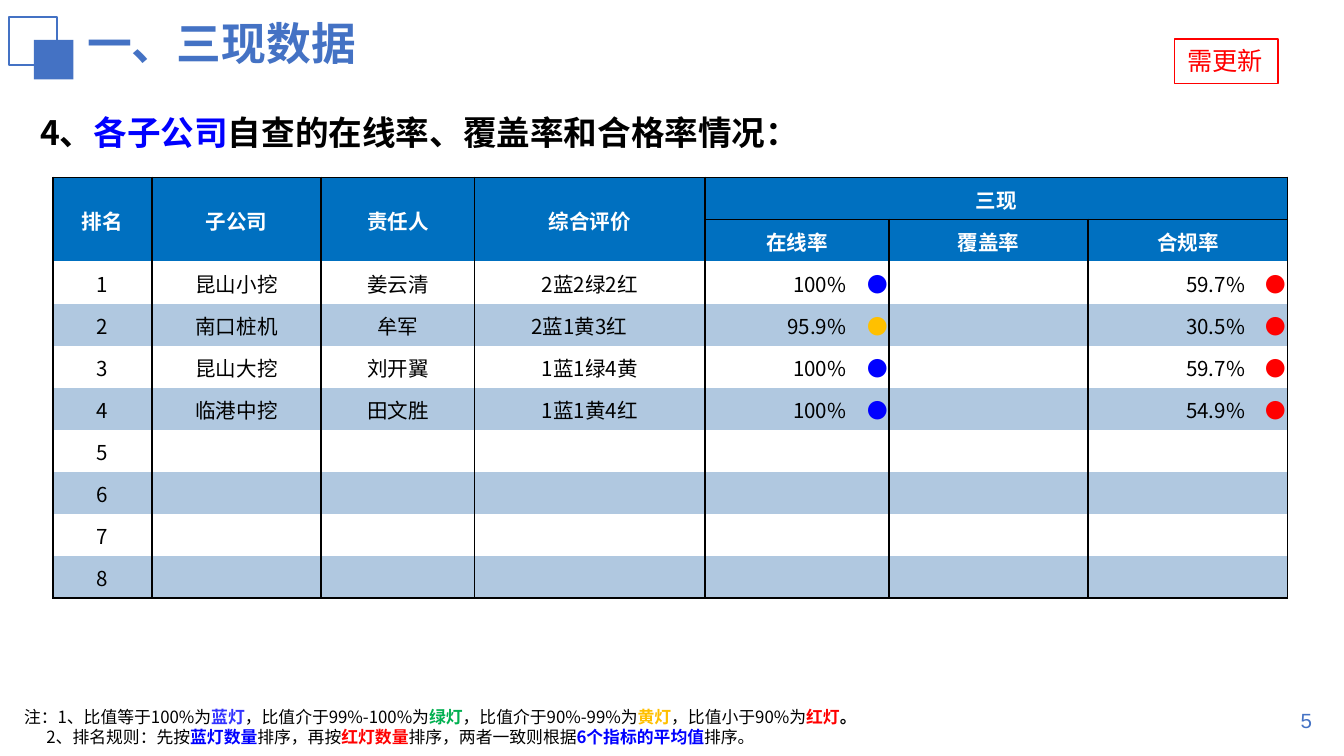
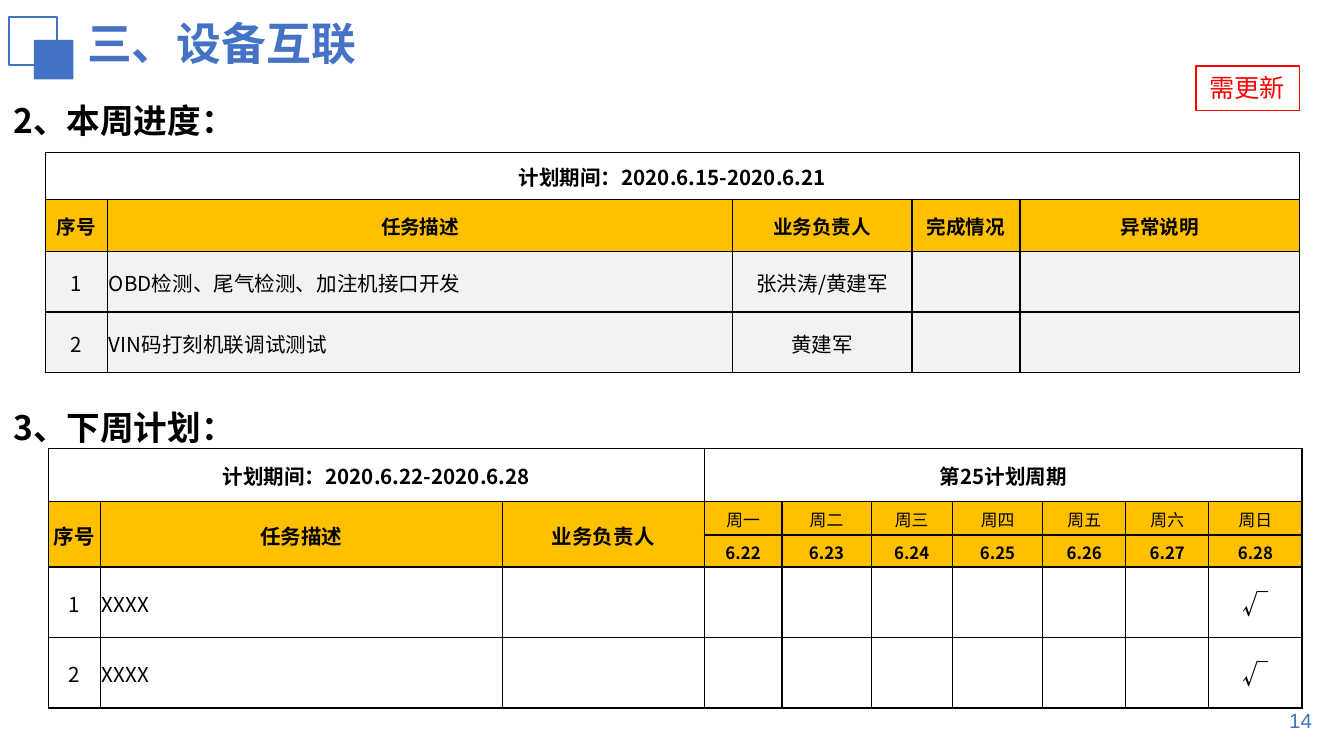
"""Build two weekly report slides: on-line rate ranking and device connection plan."""
from lxml import etree
from pptx import Presentation
from pptx.dml.color import RGBColor
from pptx.enum.shapes import MSO_SHAPE as SHAPE
from pptx.enum.text import MSO_ANCHOR as ANCHOR, PP_ALIGN as ALIGN
from pptx.oxml.ns import qn
from pptx.util import Pt

BLACK = RGBColor(0, 0, 0)
WHITE = RGBColor(255, 255, 255)
ACCENT = RGBColor(0x44, 0x72, 0xC4)
HEADER = RGBColor(0, 0x70, 0xC0)
BAND = RGBColor(0xB0, 0xC8, 0xE0)
GREY = RGBColor(0xF2, 0xF2, 0xF2)
BLUE = RGBColor(0, 0, 255)
INDIGO = RGBColor(0x33, 0x33, 255)
GREEN = RGBColor(0, 0xB0, 0x50)
AMBER = RGBColor(255, 0xC0, 0)
RED = RGBColor(255, 0, 0)
CJK = "Noto Sans CJK SC"

TITLE = {"size": 24, "bold": True, "color": ACCENT}
HEADING = {"size": 18, "bold": True}
NUMBER = {"name": "Arial", "size": 11, "color": ACCENT}
BADGE = {"name": "Arial", "size": 13.5, "color": RED}
NOTE = {"size": 9}
BODY = {"size": 11}
BOLD = {"size": 11, "bold": True}
SMALL_BOLD = {"size": 10.5, "bold": True}
WHITE_BOLD = {"size": 11, "bold": True, "color": WHITE}


def tint(text, color, bold=True):
    return text, {"color": color, "bold": bold}


def lamp(rate, color):
    return [rate + "　", ("●", {"color": color})]


RANKING_ROWS = [
    ["1", "昆山小挖", "姜云清", "2蓝2绿2红", lamp("100%", BLUE), "", lamp("59.7%", RED)],
    ["2", "南口桩机", "牟军", "2蓝1黄3红　", lamp("95.9%", AMBER), "", lamp("30.5%", RED)],
    ["3", "昆山大挖", "刘开翼", "1蓝1绿4黄", lamp("100%", BLUE), "", lamp("59.7%", RED)],
    ["4", "临港中挖", "田文胜", "1蓝1黄4红", lamp("100%", BLUE), "", lamp("54.9%", RED)],
] + [[str(n)] + [""] * 6 for n in range(5, 9)]

RANKING = {
    "at": (28.3, 95), "cols": [53.2, 90.6, 82.2, 123.4, 98.6, 106.8, 106.8],
    "heights": [22.54] * 10, "line": 1, "grid": False,
    "cells": [["排名", "子公司", "责任人", "综合评价", "三现", "", ""],
              ["", "", "", "", "在线率", "覆盖率", "合规率"]] + RANKING_ROWS,
    "merges": [(0, c, 1, c) for c in range(4)] + [(0, 4, 0, 6)],
    "fills": [HEADER] * 2 + [None, BAND] * 4,
    "formats": [WHITE_BOLD] * 2 + [BODY] * 8,
    "body": 2, "aligns": {4: ALIGN.RIGHT, 6: ALIGN.RIGHT},
}
PROGRESS = {
    "at": (24.2, 81.8), "cols": [33.4, 334.8, 96.2, 57.8, 149.8],
    "heights": [25, 28, 32.4, 32.4], "line": 0.75, "grid": True,
    "cells": [["计划期间：2020.6.15-2020.6.21", "", "", "", ""],
              ["序号", "任务描述", "业务负责人", "完成情况", "异常说明"],
              ["1", "OBD检测、尾气检测、加注机接口开发", "张洪涛/黄建军", "", ""],
              ["2", "VIN码打刻机联调试测试", "黄建军", "", ""]],
    "merges": [(0, 0, 0, 4)],
    "fills": [WHITE, AMBER, GREY, GREY],
    "formats": [BOLD, SMALL_BOLD, BODY, BODY],
    "body": 2, "aligns": {1: ALIGN.LEFT},
}
DAYS = [("周" + d, {"size": 9, "bold": False}) for d in "一二三四五六日"]
DATES = [(f"6.{d}", {"size": 9}) for d in range(22, 29)]
TICK = ("√", {"size": 14})
PLAN = {
    "at": (25.9, 240.3),
    "cols": [27.9, 215.3, 108.2, 41.6, 47.8, 43.5, 48.5, 44.5, 44.5, 50],
    "heights": [28.4, 18, 17.1, 37.8, 37.8], "line": 0.75, "grid": True,
    "cells": [["计划期间：2020.6.22-2020.6.28", "", "", "第25计划周期"] + [""] * 6,
              ["序号", "任务描述", "业务负责人"] + [[d] for d in DAYS],
              ["", "", ""] + [[d] for d in DATES]]
             + [[n, "XXXX"] + [""] * 7 + [[TICK]] for n in "12"],
    "merges": [(0, 0, 0, 2), (0, 3, 0, 9)] + [(1, c, 2, c) for c in range(3)],
    "fills": [WHITE, AMBER, AMBER, None, None],
    "formats": [BOLD] * 3 + [BODY] * 2,
    "body": 3, "aligns": {1: ALIGN.LEFT},
}
NOTES = [
    ["注：1、比值等于100%为", tint("蓝灯", INDIGO), "，比值介于99%-100%为",
     tint("绿灯", GREEN), "，比值介于90%-99%为", tint("黄灯", AMBER),
     "，比值小于90%为", tint("红灯", RED), tint("。", BLACK)],
    ["2、排名规则：先按", tint("蓝灯数量", BLUE), "排序，再按", tint("红灯数量", RED),
     "排序，两者一致则根据", tint("6个指标的平均值", BLUE), "排序。"],
]
SLIDES = [
    {"title": "一、三现数据", "number": "5", "badge": (629.3, 20.9),
     "headings": [(14.4, 45.4, ["4、", tint("各子公司", BLUE),
                                "自查的在线率、覆盖率和合格率情况："])],
     "tables": [RANKING], "notes": NOTES},
    {"title": "三、设备互联", "number": "14", "badge": (640.8, 35.3),
     "headings": [(0, 38.9, ["2、本周进度："]), (0, 203, ["3、下周计划："])],
     "tables": [PROGRESS, PLAN], "notes": []},
]


def write(p, runs, fmt, align=ALIGN.LEFT):
    p.alignment = align
    for run in runs:
        text, own = (run, {}) if isinstance(run, str) else run
        r = p.add_run()
        r.text = text
        for key, value in {"name": CJK, "color": BLACK, "bold": False, **fmt, **own}.items():
            if key == "color":
                r.font.color.rgb = value
            else:
                setattr(r.font, key, Pt(value) if key == "size" else value)
        if r.font.name == CJK:
            etree.SubElement(r.font._element, qn("a:ea"), typeface=CJK)


def add_text(s, box, runs, fmt, align=ALIGN.LEFT, anchor=ANCHOR.TOP):
    tf = s.shapes.add_textbox(*map(Pt, box)).text_frame
    tf.word_wrap, tf.vertical_anchor = True, anchor
    write(tf.paragraphs[0], runs, fmt, align)
    return tf


def add_rect(s, box, fill=None, line=None, width=1):
    sp = s.shapes.add_shape(SHAPE.RECTANGLE, *map(Pt, box))
    sp.shadow.inherit = False
    for part, color in ((sp.fill, fill), (sp.line.fill, line)):
        if color is None:
            part.background()
        else:
            part.solid()
            part.fore_color.rgb = color
    if line is not None:
        sp.line.width = Pt(width)
    return sp


def set_borders(cell, sides, width):
    tc_pr = cell._tc.get_or_add_tcPr()
    for i, side in enumerate("LRTB"):
        ln = etree.Element(qn("a:ln" + side), w=str(Pt(width)))
        if side in sides:
            fill = etree.SubElement(ln, qn("a:solidFill"))
            etree.SubElement(fill, qn("a:srgbClr"), val=str(BLACK))
        else:
            etree.SubElement(ln, qn("a:noFill"))
        tc_pr.insert(i, ln)


def border_sides(t, r, c):
    if t["grid"]:
        return "LRTB"
    under_group = c >= 4
    top = "T" if r == 0 or (r == 1 and under_group) else ""
    bottom = "B" if r == len(t["heights"]) - 1 or (r == 0 and under_group) else ""
    return "LR" + top + bottom


def add_table(s, t):
    cols, heights = t["cols"], t["heights"]
    box = (*t["at"], sum(cols), sum(heights))
    table = s.shapes.add_table(len(heights), len(cols), *map(Pt, box)).table
    table.first_row = table.horz_banding = False
    for col, width in zip(table.columns, cols):
        col.width = Pt(width)
    for row, height in zip(table.rows, heights):
        row.height = Pt(height)
    for r, row in enumerate(t["cells"]):
        for c, content in enumerate(row):
            cell = table.cell(r, c)
            cell.vertical_anchor = ANCHOR.MIDDLE
            cell.margin_left = cell.margin_right = cell.margin_top = Pt(0.75)
            cell.margin_bottom = 0
            if t["fills"][r] is None:
                cell.fill.background()
            else:
                cell.fill.solid()
                cell.fill.fore_color.rgb = t["fills"][r]
            set_borders(cell, border_sides(t, r, c), t["line"])
            p = cell.text_frame.paragraphs[0]
            if content:
                runs = [content] if isinstance(content, str) else content
                in_body = r >= t["body"]
                align = t["aligns"].get(c, ALIGN.CENTER) if in_body else ALIGN.CENTER
                write(p, runs, t["formats"][r], align)
            else:
                etree.SubElement(p._p, qn("a:endParaRPr"), sz="900")
    for r, c, r2, c2 in t["merges"]:
        table.cell(r, c).merge(table.cell(r2, c2))


def add_badge(s, at):
    sp = add_rect(s, (*at, 55.4, 23.8), line=RED, width=0.75)
    tf = sp.text_frame
    tf.word_wrap, tf.vertical_anchor = False, ANCHOR.TOP
    write(tf.paragraphs[0], ["需更新"], BADGE)


def add_notes(s, notes):
    tf = add_text(s, (5.8, 375.1, 626.4, 28.8), notes[0], NOTE)
    for runs in notes[1:]:
        p = tf.add_paragraph()
        write(p, runs, NOTE)
        p._p.get_or_add_pPr().set("marL", str(Pt(12)))


def build_slide(prs, data):
    s = prs.slides.add_slide(prs.slide_layouts[6])
    add_rect(s, (5, 9.2, 25.8, 25.8), line=ACCENT)
    add_rect(s, (18.2, 21.4, 21.2, 21.2), fill=ACCENT)
    add_text(s, (39.6, 5, 326.2, 36), [data["title"]], TITLE)
    add_text(s, (542.2, 375.1, 167.8, 21.6), [data["number"]], NUMBER,
             ALIGN.RIGHT, ANCHOR.MIDDLE)
    for left, top, runs in data["headings"]:
        tf = add_text(s, (left, top, 629.3, 40.3), runs, HEADING, anchor=ANCHOR.MIDDLE)
        tf.paragraphs[0].line_spacing = 1.5
    for t in data["tables"]:
        add_table(s, t)
    if data["notes"]:
        add_notes(s, data["notes"])
    add_badge(s, data["badge"])


def main():
    prs = Presentation()
    prs.slide_width, prs.slide_height = Pt(720), Pt(405)
    for data in SLIDES:
        build_slide(prs, data)
    prs.save("out.pptx")


if __name__ == "__main__":
    main()
